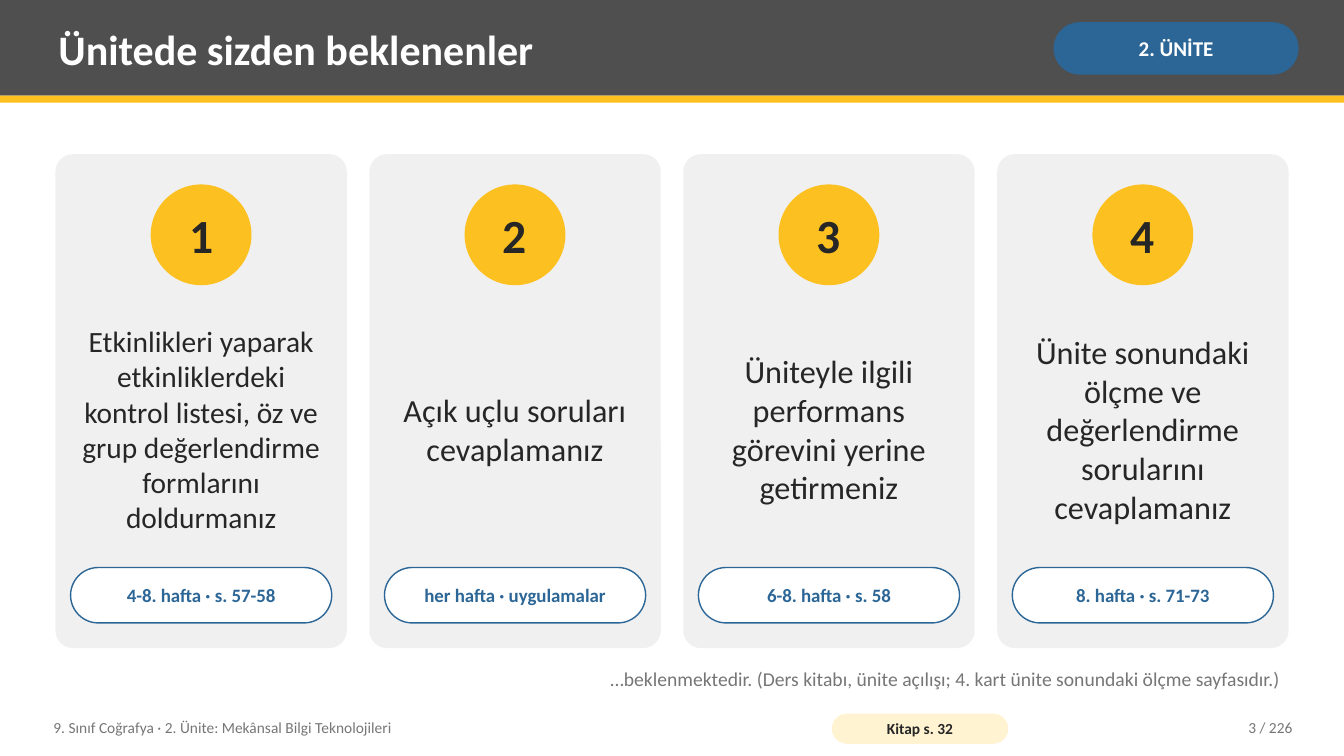
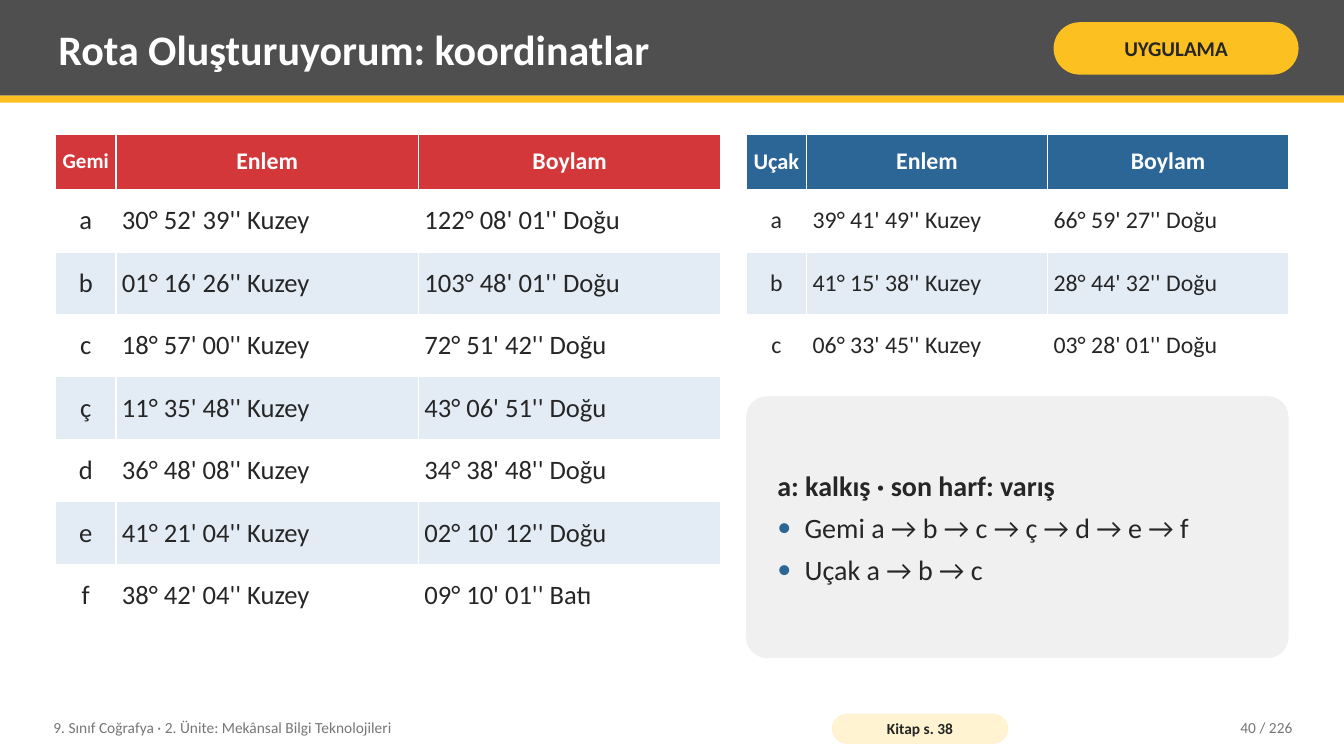
from lxml import etree
from pptx import Presentation
from pptx.dml.color import RGBColor
from pptx.enum.shapes import MSO_SHAPE
from pptx.enum.text import MSO_ANCHOR, MSO_AUTO_SIZE, PP_ALIGN
from pptx.oxml.ns import qn
from pptx.util import Pt

PX = 9144
FONT = "Calibri"
DARK, GREY, PANEL = "262626", "767676", "F0F0F0"
BAND, YELLOW, CREAM = "4F4F4F", "FCC021", "FFF3D1"
BLUE, RED, STRIPE, WHITE = "2C6696", "D3373A", "E3ECF5", "FFFFFF"
LEFT, CENTER, RIGHT = PP_ALIGN.LEFT, PP_ALIGN.CENTER, PP_ALIGN.RIGHT
TOP, MIDDLE = MSO_ANCHOR.TOP, MSO_ANCHOR.MIDDLE
NO_FIT = MSO_AUTO_SIZE.NONE
RECT, ROUND, OVAL = MSO_SHAPE.RECTANGLE, MSO_SHAPE.ROUNDED_RECTANGLE, MSO_SHAPE.OVAL
TITLE_ONLY, TITLE_AND_BODY = 5, 1
PAGE_WIDTH, PAGE_HEIGHT = 1333, 750
TEXT_INSETS = (8, 4, 8, 4)
MARGIN, CONTENT_WIDTH = 55, 1223

CARDS = [
    ("Etkinlikleri yaparak etkinliklerdeki kontrol listesi, öz ve grup "
     "değerlendirme formlarını doldurmanız", 21, "4-8. hafta · s. 57-58"),
    ("Açık uçlu soruları cevaplamanız", 23, "her hafta · uygulamalar"),
    ("Üniteyle ilgili performans görevini yerine getirmeniz", 23, "6-8. hafta · s. 58"),
    ("Ünite sonundaki ölçme ve değerlendirme sorularını cevaplamanız", 23,
     "8. hafta · s. 71-73"),
]
SHIP_ROWS = [
    ("Gemi", "Enlem", "Boylam"),
    ("a", "30° 52' 39'' Kuzey", "122° 08' 01'' Doğu"),
    ("b", "01° 16' 26'' Kuzey", "103° 48' 01'' Doğu"),
    ("c", "18° 57' 00'' Kuzey", "72° 51' 42'' Doğu"),
    ("ç", "11° 35' 48'' Kuzey", "43° 06' 51'' Doğu"),
    ("d", "36° 48' 08'' Kuzey", "34° 38' 48'' Doğu"),
    ("e", "41° 21' 04'' Kuzey", "02° 10' 12'' Doğu"),
    ("f", "38° 42' 04'' Kuzey", "09° 10' 01'' Batı"),
]
PLANE_ROWS = [
    ("Uçak", "Enlem", "Boylam"),
    ("a", "39° 41' 49'' Kuzey", "66° 59' 27'' Doğu"),
    ("b", "41° 15' 38'' Kuzey", "28° 44' 32'' Doğu"),
    ("c", "06° 33' 45'' Kuzey", "03° 28' 01'' Doğu"),
]
ROUTES = ["Gemi a → b → c → ç → d → e → f", "Uçak a → b → c"]


def emu(length):
    return round(length * PX)


def rgb(color):
    return RGBColor.from_string(color)


def style(para, size, color, bold=False, align=LEFT):
    para.alignment = align
    para.font.name = FONT
    para.font.size = Pt(size)
    para.font.bold = bold
    para.font.color.rgb = rgb(color)


def set_frame(frame, insets, anchor=MIDDLE, wrap=True):
    frame.auto_size = NO_FIT
    frame.word_wrap = wrap
    frame.vertical_anchor = anchor
    (frame.margin_left, frame.margin_top,
     frame.margin_right, frame.margin_bottom) = map(emu, insets)


def write(shape, text, size, color, bold=False, align=LEFT,
          insets=TEXT_INSETS, anchor=MIDDLE, wrap=True):
    set_frame(shape.text_frame, insets, anchor, wrap)
    shape.text_frame.text = text
    style(shape.text_frame.paragraphs[0], size, color, bold, align)


def move(shape, box):
    shape.left, shape.top, shape.width, shape.height = map(emu, box)


def add_text(page, box, *args, **options):
    shape = page.shapes.add_textbox(*map(emu, box))
    write(shape, *args, **options)
    return shape


def add_block(page, kind, box, fill, radius=None, line=None):
    shape = page.shapes.add_shape(kind, *map(emu, box))
    shape.shadow.inherit = False
    shape.fill.solid()
    shape.fill.fore_color.rgb = rgb(fill)
    if line:
        shape.line.color.rgb = rgb(line)
        shape.line.width = Pt(1)
    else:
        shape.line.fill.background()
    if radius is not None:
        shape.adjustments[0] = radius
    return shape


def add_pill(page, box, text, size, fill, color, insets, line=None):
    pill = add_block(page, ROUND, box, fill, 0.5, line)
    write(pill, text, size, color, True, CENTER, insets)


def add_shared_parts(deck, page):
    parts = [
        add_block(page, RECT, (0, 0, PAGE_WIDTH, 95), BAND),
        add_block(page, RECT, (0, 95, PAGE_WIDTH, 7), YELLOW),
        add_text(page, (45, 704, 760, 36),
                 "9. Sınıf Coğrafya · 2. Ünite: Mekânsal Bilgi Teknolojileri", 11, GREY),
    ]
    tree = deck.slide_master.shapes._spTree
    for index, part in enumerate(parts):
        part._element.nvSpPr.cNvPr.set("id", str(101 + index))
        tree.insert(2 + index, part._element)


def add_page(deck, layout, title, tag, tag_fill, tag_color, book_page, number):
    page = deck.slides.add_slide(deck.slide_layouts[layout])
    move(page.shapes.title, (50, 7, 975, 82))
    write(page.shapes.title, title, 30, WHITE, True)
    add_pill(page, (1045, 22, 243, 52), tag, 15, tag_fill, tag_color, (5, 2, 5, 2))
    add_pill(page, (825, 708, 175, 30), f"Kitap s. {book_page}", 11, CREAM, DARK, (4, 0, 4, 0))
    add_text(page, (1130, 704, 160, 36), f"{number} / 226", 11, GREY, align=RIGHT)
    return page


def add_card(page, box, number, text, size, schedule):
    left, top, width, height = box
    add_block(page, ROUND, box, PANEL, 0.06)
    circle = add_block(page, OVAL, (left + (width - 100) / 2, top + 30, 100, 100), YELLOW)
    write(circle, str(number), 34, DARK, True, CENTER, (0, 0, 0, 0), wrap=False)
    inner_left, inner_width = left + 15, width - 30
    add_text(page, (inner_left, top + 150, inner_width, 245), text, size, DARK, align=CENTER)
    add_pill(page, (inner_left, top + height - 80, inner_width, 55), schedule, 13.5,
             WHITE, BLUE, (4, 8, 4, 8), BLUE)


def add_cards(page, box):
    left, top, width, height = box
    card_width = 289
    pitch = (width - card_width) / (len(CARDS) - 1)
    for index, card in enumerate(CARDS):
        add_card(page, (left + index * pitch, top, card_width, height), index + 1, *card)


def add_borders(cell):
    properties = cell._tc.get_or_add_tcPr()
    for index, side in enumerate(("lnL", "lnR", "lnT", "lnB")):
        border = etree.Element(qn(f"a:{side}"), w=str(Pt(0.96)))
        fill = etree.SubElement(border, qn("a:solidFill"))
        etree.SubElement(fill, qn("a:srgbClr"), val=WHITE)
        properties.insert(index, border)


def add_cell(cell, text, fill, size, color, bold, align):
    cell.fill.solid()
    cell.fill.fore_color.rgb = rgb(fill)
    add_borders(cell)
    cell.vertical_anchor = MIDDLE
    cell.margin_left = cell.margin_right = emu(6)
    cell.margin_top = cell.margin_bottom = emu(5)
    cell.text = text
    style(cell.text_frame.paragraphs[0], size, color, bold, align)


def add_coordinates(page, left, top, width, rows, header_fill, key_size, body_size):
    header_height, row_height, key_width = 55, 62, 60
    height = header_height + row_height * (len(rows) - 1)
    table = page.shapes.add_table(len(rows), 3, *map(emu, (left, top, width, height))).table
    table.horz_banding = False
    value_width = (width - key_width) / 2
    for column, column_width in zip(table.columns, (key_width, value_width, value_width)):
        column.width = emu(column_width)
    for row, values in enumerate(rows):
        table.rows[row].height = emu(row_height if row else header_height)
        for column, text in enumerate(values):
            cell = table.cell(row, column)
            if row == 0:
                size = 17 if column else key_size
                add_cell(cell, text, header_fill, size, WHITE, True, CENTER)
            else:
                fill = WHITE if row % 2 else STRIPE
                add_cell(cell, text, fill, body_size, DARK, False, LEFT if column else CENTER)


def set_bullet(para, bulleted):
    properties = para._p.get_or_add_pPr()
    indent = emu(27) if bulleted else 0
    properties.set("marL", str(indent))
    properties.set("indent", str(-indent))
    if not bulleted:
        etree.SubElement(properties, qn("a:buNone"))
        return
    color = etree.SubElement(properties, qn("a:buClr"))
    etree.SubElement(color, qn("a:srgbClr"), val=BLUE)
    etree.SubElement(properties, qn("a:buFont"), typeface=FONT)
    etree.SubElement(properties, qn("a:buChar"), char="•")


def add_routes(page, box, heading, routes):
    add_block(page, ROUND, box, PANEL, 0.08)
    body = page.placeholders[1]
    move(body, box)
    page.shapes._spTree.append(body._element)
    frame = body.text_frame
    set_frame(frame, (31, 14, 31, 14))
    lines = [heading, *routes]
    for index, text in enumerate(lines):
        para = frame.paragraphs[0] if index == 0 else frame.add_paragraph()
        para.text = text
        set_bullet(para, index > 0)
        style(para, 20, DARK, index == 0)
        para.space_before = Pt(0)
        para.space_after = Pt(6 if index < len(lines) - 1 else 0)


def add_expectations_page(deck):
    page = add_page(deck, TITLE_ONLY, "Ünitede sizden beklenenler",
                    "2. ÜNİTE", BLUE, WHITE, 32, 3)
    add_shared_parts(deck, page)
    add_cards(page, (MARGIN, 153, CONTENT_WIDTH, 490))
    add_text(page, (MARGIN, 658, CONTENT_WIDTH, 40),
             "…beklenmektedir. (Ders kitabı, ünite açılışı; "
             "4. kart ünite sonundaki ölçme sayfasıdır.)",
             14, GREY, align=RIGHT, anchor=TOP)


def add_route_page(deck):
    page = add_page(deck, TITLE_AND_BODY, "Rota Oluşturuyorum: koordinatlar",
                    "UYGULAMA", YELLOW, DARK, 38, 40)
    add_coordinates(page, MARGIN, 133, 660, SHIP_ROWS, RED, 15, 19)
    add_coordinates(page, 740, 133, 538, PLANE_ROWS, BLUE, 16, 17)
    add_routes(page, (740, 393, 538, 260), "a: kalkış · son harf: varış", ROUTES)


def main():
    deck = Presentation()
    deck.slide_width, deck.slide_height = emu(PAGE_WIDTH), emu(PAGE_HEIGHT)
    add_expectations_page(deck)
    add_route_page(deck)
    deck.save("out.pptx")


if __name__ == "__main__":
    main()
